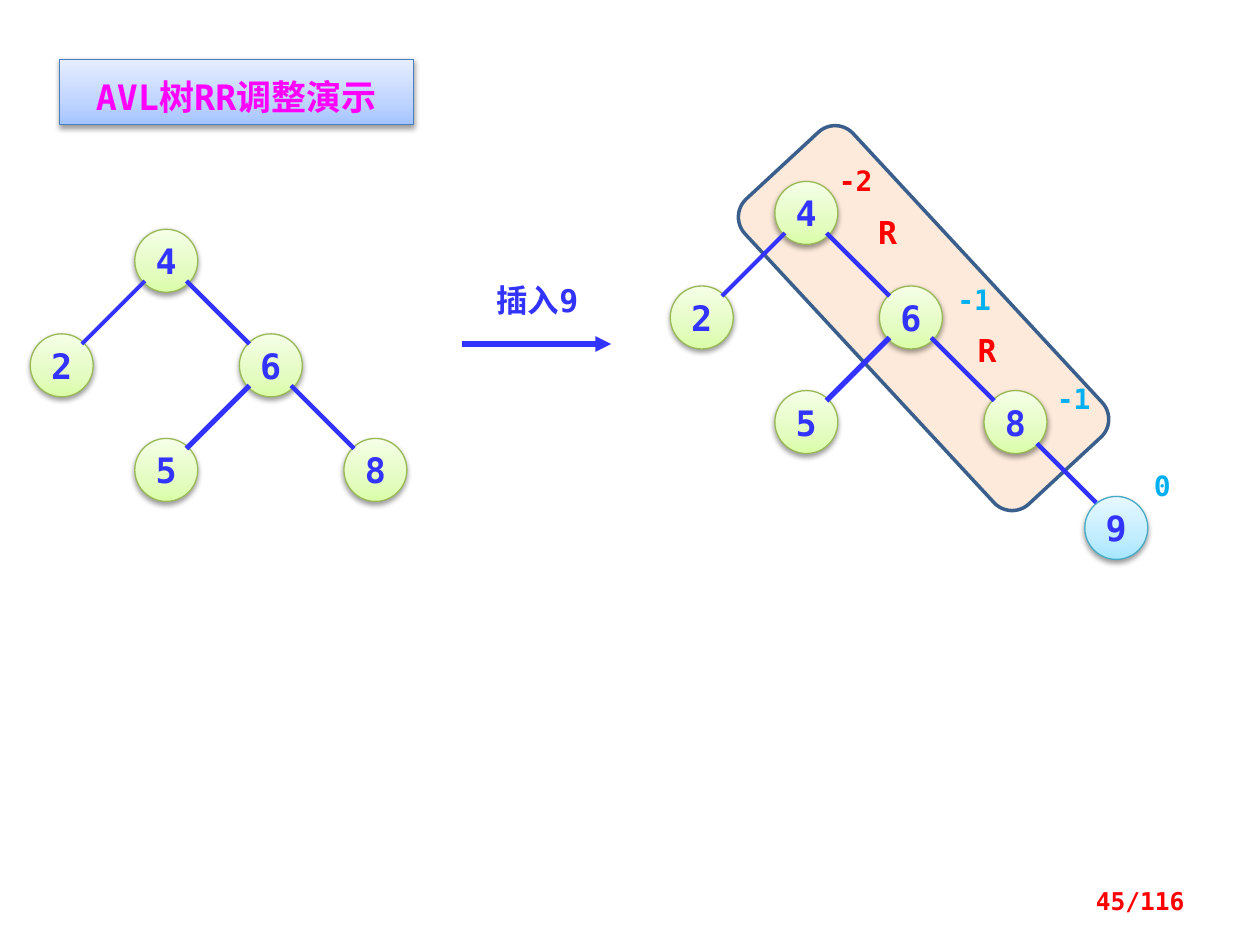
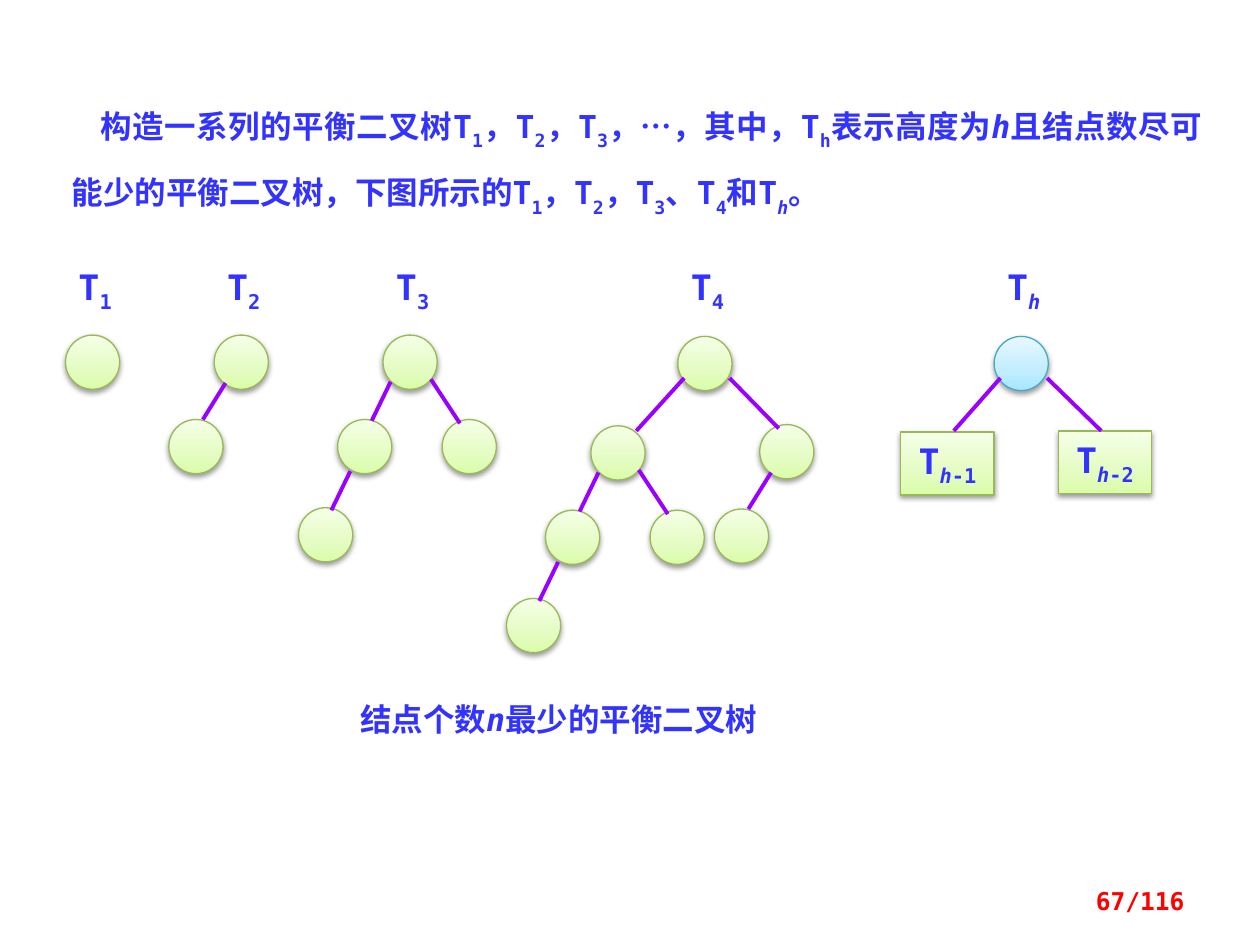
from dataclasses import dataclass

from lxml import etree
from pptx import Presentation
from pptx.dml.color import RGBColor
from pptx.enum.shapes import MSO_CONNECTOR, MSO_SHAPE
from pptx.enum.text import MSO_ANCHOR, PP_ALIGN
from pptx.oxml.ns import qn
from pptx.util import Inches, Pt

OVAL, RECT, ROUND = MSO_SHAPE.OVAL, MSO_SHAPE.RECTANGLE, MSO_SHAPE.ROUNDED_RECTANGLE
LEFT, MID, RIGHT, JUST = PP_ALIGN.LEFT, PP_ALIGN.CENTER, PP_ALIGN.RIGHT, PP_ALIGN.JUSTIFY
TOP, CENTRE = MSO_ANCHOR.TOP, MSO_ANCHOR.MIDDLE
STRAIGHT = MSO_CONNECTOR.STRAIGHT


@dataclass(frozen=True)
class Theme:
    """Colours, fonts and type sizes shared by the slides."""
    font: str = "DejaVu Sans Mono"
    alt: str = "Arial"
    ink: str = "3333FF"
    red: str = "FF0000"
    pink: str = "FF00FF"
    sky: str = "00B0F0"
    branch: str = "9900FF"
    peach: str = "FDEADA"
    navy: str = "3A5F8C"
    # Each look is a line colour, then gradient stops from the bottom up
    green: tuple = ("98B955", "DAFDA7", "E4FCC2", "F5FFE7")
    cyan: tuple = ("46AAC5", "A7E6FF", "C1EDFF", "E7F8FF")
    blue: tuple = ("4B7EBC", "A4C4FF", "BFD4FF", "E6EEFF")
    big: int = 20
    body: int = 18
    small: int = 16
    foot: int = 14


theme = Theme()


def draw(slide, kind, place, look):
    """Add a shape with a three-stop gradient and a soft shadow."""
    shape = slide.shapes.add_shape(kind, *map(Inches, place))
    shape.fill.gradient()
    shape.fill.gradient_angle = 90
    shape.line.color.rgb = RGBColor.from_string(look[0])
    shape.line.width = Pt(0.75)
    props = shape.element.spPr
    stops = props.find(".//" + qn("a:gsLst"))
    for stop in list(stops):
        stops.remove(stop)
    for spot, color in zip((0, 35000, 100000), look[1:]):
        stop = etree.SubElement(stops, qn("a:gs"), pos=str(spot))
        etree.SubElement(stop, qn("a:srgbClr"), val=color)
    shape.shadow.inherit = False
    shade = etree.SubElement(props.find(qn("a:effectLst")), qn("a:outerShdw"),
                             blurRad=str(Pt(3.1)), dist=str(Pt(1.6)),
                             dir="5400000", rotWithShape="0")
    black = etree.SubElement(shade, qn("a:srgbClr"), val="000000")
    etree.SubElement(black, qn("a:alpha"), val="38000")
    return shape


def write(shape, marks, size, color, align=LEFT, gap=None, drop=-25):
    """Write runs parted by |; lead marks: * italic, _ subscript, @ other font."""
    para = shape.text_frame.paragraphs[0]
    para.alignment = align
    para.line_spacing = gap
    for mark in marks.split("|"):
        run = para.add_run()
        run.text = mark.lstrip("*_@")
        lead = mark[:len(mark) - len(run.text)]
        font = run.font
        font.name = theme.alt if "@" in lead else theme.font
        font.size = Pt(size)
        font.bold = True
        font.color.rgb = RGBColor.from_string(color)
        if "*" in lead:
            font.italic = True
        if "_" in lead:
            run._r.get_or_add_rPr().set("baseline", str(drop * 1000))


deck = Presentation()
deck.slide_width, deck.slide_height = Inches(10), Inches(7.5)
blank = deck.slide_layouts[6]
demo, series = deck.slides.add_slide(blank), deck.slides.add_slide(blank)
links = []  # slide, start, end, colour, width

# Slide 1: the path to rotate, behind the tree
pill = demo.shapes.add_shape(ROUND, *map(Inches, (5.68, 1.94, 3.3, 1.17)))
pill.rotation = 47.2
pill.fill.solid()
pill.fill.fore_color.rgb = RGBColor.from_string(theme.peach)
pill.line.color.rgb = RGBColor.from_string(theme.navy)
pill.line.width = Pt(2)
pill.shadow.inherit = False

badge = draw(demo, RECT, (0.47, 0.47, 2.81, 0.52), theme.blue)
badge.text_frame.word_wrap = True
badge.text_frame.vertical_anchor = TOP
write(badge, "AVL树RR调整演示", theme.big, theme.pink, MID, 1.25)

# Slide 1: the same tree before and after the insertion
STEP, SIZE = 0.83, 0.5
cells = [("4", 0, 0), ("2", -1, 1), ("6", 1, 1), ("5", 0, 2), ("8", 2, 2)]
forks = [(0, 0, -1, 2.25), (0, 0, 1, 2.5), (1, 1, -1, 3), (1, 1, 1, 2.5)]
nodes = []
for left, top in ((1.07, 1.82), (6.15, 1.44)):
    for key, col, row in cells:
        nodes.append((key, left + col * STEP, top + row * STEP, theme.green))
    for col, row, side, width in forks:
        x = left + col * STEP + (0.08 if side < 0 else 0.41)
        y = top + row * STEP + 0.41
        links.append((demo, (x, y), (x + side * 0.5, y + 0.5), theme.ink, width))
nodes.append(("9", 8.61, 3.94, theme.cyan))
links.append((demo, (8.23, 3.52), (8.7, 3.99), theme.ink, 2.5))
for key, x, y, look in nodes:
    node = draw(demo, OVAL, (x, y, SIZE, SIZE), look)
    node.text_frame.word_wrap = False
    write(node, key, theme.big, theme.ink, MID)

# Slide 2: node and branch offsets of each tree form, from its root
DOT = 0.43
forms = {
    "one": ([(0, 0)], []),
    "two": ([(0, 0), (-0.36, 0.67)], [((0.09, 0.38), (-0.09, 0.67))]),
    "three": ([(0, 0), (-0.36, 0.67), (-0.67, 1.37), (0.47, 0.67)],
              [((0.06, 0.37), (-0.09, 0.68)), ((0.38, 0.35), (0.61, 0.7)),
               ((-0.26, 1.08), (-0.41, 1.39))]),
    "four": ([(0, 0)], [((0.05, 0.33), (-0.33, 0.75)), ((0.41, 0.33), (0.8, 0.73))]),
    "any": ([(0, 0)], [((0.05, 0.33), (-0.32, 0.75)), ((0.42, 0.33), (0.85, 0.75))]),
}
trees = [("one", 0.52, 2.66, "T|_1"), ("two", 1.7, 2.66, "T|_2"),
         ("three", 3.04, 2.66, "T|_3"), ("four", 5.38, 2.67, "T|_4"),
         ("three", 4.69, 3.38, ""), ("two", 6.03, 3.37, ""),
         ("any", 7.89, 2.67, "T|*_h")]
for form, left, top, name in trees:
    look = theme.cyan if form == "any" else theme.green
    dots, twigs = forms[form]
    for x, y in dots:
        draw(series, OVAL, (left + x, top + y, DOT, DOT), look)
    for start, end in twigs:
        ends = [(left + x, top + y) for x, y in (start, end)]
        links.append((series, *ends, theme.branch, 2.25))
    if name:
        label = series.shapes.add_textbox(*map(Inches, (left - 0.04, 2.11, 0.55, 0.33)))
        frame = label.text_frame
        frame.word_wrap = True
        frame.margin_left = frame.margin_right = 0
        frame.margin_top = frame.margin_bottom = 0
        write(label, name, theme.big, theme.ink, MID)
for x, y, name in ((7.15, 3.43, "T|*_h|_-1"), (8.4, 3.42, "T|*_h|_-2")):
    box = draw(series, RECT, (x, y, 0.74, 0.5), theme.green)
    box.text_frame.word_wrap = False
    write(box, name, theme.big, theme.ink, MID)

# Branches of both slides, and the arrow between the two trees
arrow = (demo, (3.67, 2.73), (4.85, 2.73), theme.ink, 3)
for link in links + [arrow]:
    slide, start, end, color, width = link
    line = slide.shapes.add_connector(STRAIGHT, *map(Inches, start + end))
    line.line.color.rgb = RGBColor.from_string(color)
    line.line.width = Pt(width)
    if link is arrow:
        etree.SubElement(line.line._get_or_add_ln(), qn("a:tailEnd"), type="triangle")
    etree.SubElement(line._element.spPr, qn("a:effectLst"))

# Plain text of both slides
notes = [
    (demo, (3.84, 2.18, 1.18, 0.4), "插入9", theme.body, theme.ink),
    (demo, (6.87, 1.64, 0.39, 0.4), "R", theme.body, theme.red),
    (demo, (7.66, 2.58, 0.39, 0.4), "R", theme.body, theme.red),
    (demo, (9.06, 3.67, 0.31, 0.37), "0", theme.small, theme.sky),
    (demo, (8.29, 2.98, 0.62, 0.37), "-1", theme.small, theme.sky),
    (demo, (7.5, 2.19, 0.55, 0.37), "-1", theme.small, theme.sky),
    (demo, (6.56, 1.25, 0.55, 0.37), "-2", theme.small, theme.red),
    (series, (2.76, 5.42, 3.57, 0.49), "结点个数|*n|最少的平衡二叉树",
     theme.body, theme.ink, JUST, 1.3),
]
for slide, place, *style in notes:
    note = slide.shapes.add_textbox(*map(Inches, place))
    note.text_frame.word_wrap = True
    write(note, *style)

intro = series.shapes.add_textbox(*map(Inches, (0.47, 0.62, 9.17, 1.01)))
intro.text_frame.word_wrap = True
write(intro, "构造一系列的平衡二叉树T|_1|，T|_2|，T|_3|，|@…|，其中，T|_h|表示高度为|*h|"
      "且结点数尽可能少的平衡二叉树，下图所示的T|_1|，T|_2|，T|_3|、T|_4|和T|*_h|。",
      theme.body, theme.ink, JUST, 1.5, -30)
intro.text_frame.paragraphs[0]._p.get_or_add_pPr().set("indent", str(Inches(0.23)))

for slide, page in ((demo, 45), (series, 67)):
    foot = slide.shapes.add_textbox(*map(Inches, (7.17, 6.95, 2.33, 0.4)))
    foot.text_frame.word_wrap = True
    foot.text_frame.vertical_anchor = CENTRE
    write(foot, f"{page}/116", theme.foot, theme.red, RIGHT)

deck.save("out.pptx")
